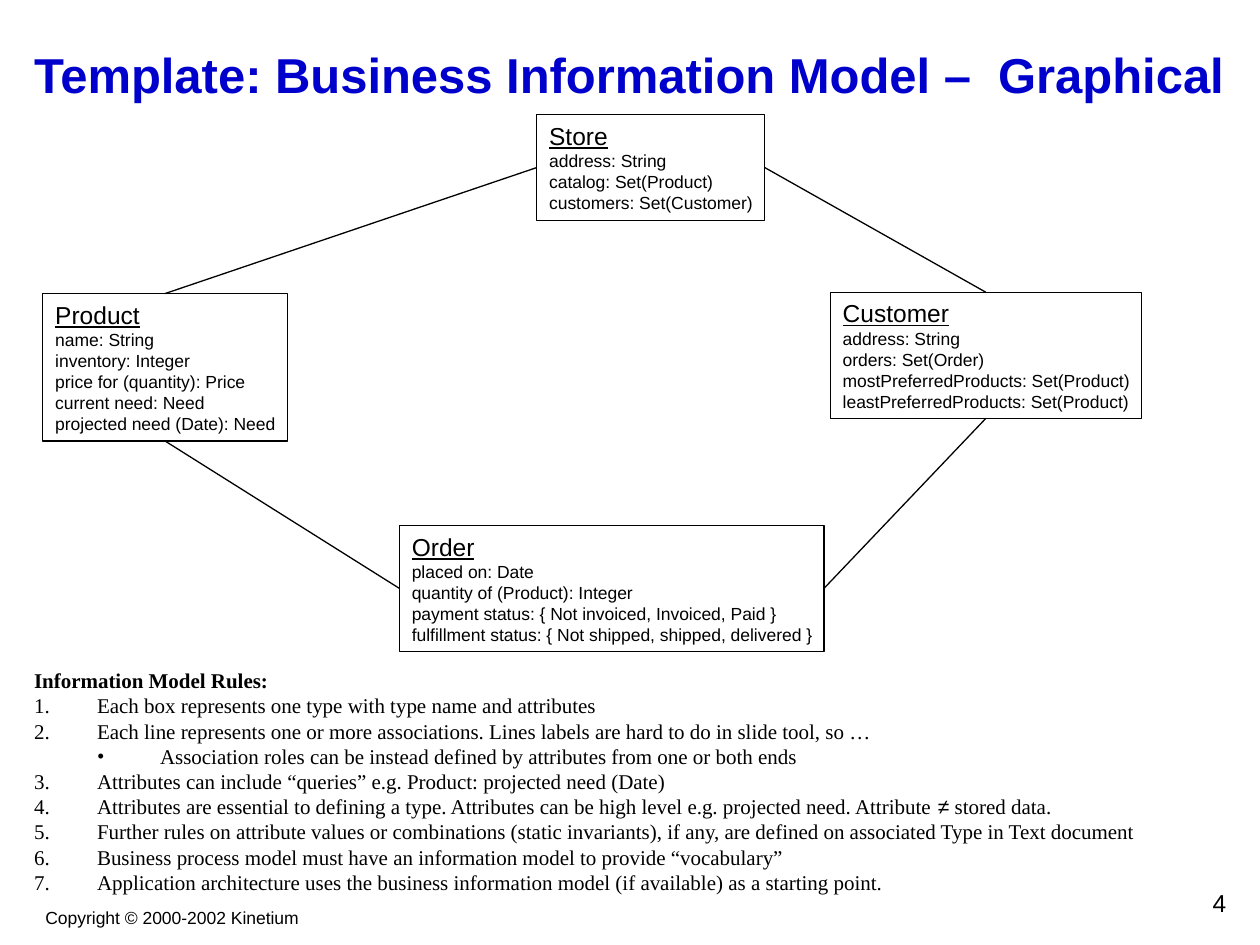
import pptx
import pptx.util
import pptx.dml.color
import pptx.enum.shapes
import pptx.enum.text
import pptx.oxml.ns
import lxml.etree

deck = pptx.Presentation()
deck.slide_width = pptx.util.Inches(10)
deck.slide_height = pptx.util.Inches(7.5)
slide = deck.slides.add_slide(deck.slide_layouts[1])

# Grid of 100 columns by 75 rows
COLUMN = deck.slide_width / 100
ROW = deck.slide_height / 75
ALIGN = pptx.enum.text.PP_ALIGN
BLACK = "000000"


def grid(left, top, width, height):
    return int(left * COLUMN), int(top * ROW), int(width * COLUMN), int(height * ROW)


def add_run(paragraph, text, size, font="Arial", color=BLACK, bold=False, underline=False):
    run = paragraph.add_run()
    run.text = text
    run.font.size = pptx.util.Pt(size)
    run.font.name = font
    run.font.bold = bold
    run.font.underline = underline
    run.font.color.rgb = pptx.dml.color.RGBColor.from_string(color)


# Title
title = slide.shapes.title
title.left, title.top, title.width, title.height = grid(1.7, 1.7, 98.3, 8.3)
title.text_frame.auto_size = pptx.enum.text.MSO_AUTO_SIZE.NONE
title.text_frame.vertical_anchor = pptx.enum.text.MSO_ANCHOR.MIDDLE
heading = title.text_frame.paragraphs[0]
heading.alignment = ALIGN.LEFT
add_run(heading, "Template: Business Information Model –  Graphical", 28, color="0000CC", bold=True)

# Types with their attributes
types = {
    "Product": ((3.4, 23.3, 19.4, 11.7),
                ["name: String", "inventory: Integer", "price for (quantity): Price",
                 "current need: Need", "projected need (Date): Need"]),
    "Store": ((42.6, 9.1, 18.1, 8.4),
              ["address: String", "catalog: Set(Product)", "customers: Set(Customer)"]),
    "Customer": ((65.9, 23.2, 24.7, 10),
                 ["address: String", "orders: Set(Order)",
                  "mostPreferredProducts: Set(Product)", "leastPreferredProducts: Set(Product)"]),
    "Order": ((31.7, 41.7, 33.7, 10),
              ["placed on: Date", "quantity of (Product): Integer",
               "payment status: { Not invoiced, Invoiced, Paid }",
               "fulfillment status: { Not shipped, shipped, delivered }"]),
}
type_boxes = {}
for type_name, (place, attributes) in types.items():
    type_box = slide.shapes.add_shape(pptx.enum.shapes.MSO_SHAPE.RECTANGLE, *grid(*place))
    type_box.shadow.inherit = False
    type_box.fill.background()
    type_box.line.color.rgb = pptx.dml.color.RGBColor.from_string(BLACK)
    type_box.line.width = pptx.util.Pt(0.75)
    frame = type_box.text_frame
    frame.word_wrap = False
    frame.vertical_anchor = pptx.enum.text.MSO_ANCHOR.TOP
    frame.paragraphs[0].alignment = ALIGN.LEFT
    add_run(frame.paragraphs[0], type_name, 14, underline=True)
    for attribute in attributes:
        line = frame.add_paragraph()
        line.alignment = ALIGN.LEFT
        add_run(line, attribute, 10)
    type_boxes[type_name] = type_box

# Associations between types
TOP, LEFT, BOTTOM, RIGHT = range(4)
associations = [
    ("Product", TOP, "Store", LEFT),
    ("Store", RIGHT, "Customer", TOP),
    ("Product", BOTTOM, "Order", LEFT),
    ("Order", RIGHT, "Customer", BOTTOM),
]
for start, start_side, end, end_side in associations:
    association = slide.shapes.add_connector(pptx.enum.shapes.MSO_CONNECTOR.STRAIGHT, 0, 0, 0, 0)
    association.begin_connect(type_boxes[start], start_side)
    association.end_connect(type_boxes[end], end_side)
    association.line.color.rgb = pptx.dml.color.RGBColor.from_string(BLACK)
    association.line.width = pptx.util.Pt(0.75)
    lxml.etree.SubElement(association._element.spPr, pptx.oxml.ns.qn("a:effectLst"))

# Information model rules: bullet kind and runs as (text, font)
SERIF = "Times New Roman"
NUMBER = ("a:buAutoNum", "type", "arabicPeriod")
DOT = ("a:buChar", "char", "•")
NO_BULLET = ("a:buNone", None, None)
rules = [
    (NO_BULLET, [("Information Model Rules:", SERIF)]),
    (NUMBER, [("Each box represents one type with type name and attributes", SERIF)]),
    (NUMBER, [("Each line represents one or more associations. "
               "Lines labels are hard to do in slide tool, so …", SERIF)]),
    (DOT, [("Association roles can be instead defined by attributes from one or both ends", SERIF)]),
    (NUMBER, [("Attributes can include “queries” e.g. Product: projected need (Date)", SERIF)]),
    (NUMBER, [("Attributes are essential to defining a type. Attributes can be high level "
               "e.g. projected need. Attribute ", SERIF), ("≠", "Arial"), (" stored data.", SERIF)]),
    (NUMBER, [("Further rules on attribute values or combinations (static invariants), if any, "
               "are defined on associated Type in Text document", SERIF)]),
    (NUMBER, [("Business process model must have an information model to provide “vocabulary”", SERIF)]),
    (NUMBER, [("Application architecture uses the business information model (if available) "
               "as a starting point.", SERIF)]),
]
rule_list = slide.placeholders[1]
rule_list.left, rule_list.top, rule_list.width, rule_list.height = grid(1.7, 52.5, 96.7, 19)
rule_list.text_frame.auto_size = pptx.enum.text.MSO_AUTO_SIZE.NONE
for index, (bullet, runs) in enumerate(rules):
    rule = rule_list.text_frame.paragraphs[0] if index == 0 else rule_list.text_frame.add_paragraph()
    rule.level = 1 if bullet is DOT else 0
    properties = rule._p.get_or_add_pPr()
    properties.set("marL", str(pptx.util.Inches(0.5 * (rule.level + 1))))
    properties.set("indent", str(pptx.util.Inches(-0.5)))
    tag, key, value = bullet
    if bullet is not NO_BULLET:
        bullet_font = lxml.etree.SubElement(properties, pptx.oxml.ns.qn("a:buFont"))
        bullet_font.set("typeface", SERIF)
    mark = lxml.etree.SubElement(properties, pptx.oxml.ns.qn(tag))
    if key:
        mark.set(key, value)
    rule.space_before = pptx.util.Pt(0)
    for text, font in runs:
        add_run(rule, text, 12, font, bold=bullet is NO_BULLET)

# Copyright line and page number
footers = [
    ("Copyright © 2000-2002 Kinetium", 10, ALIGN.CENTER, (2.6, 71.5, 22.1, 2.7)),
    ("4", 14, ALIGN.RIGHT, (77.5, 70, 20.8, 3.3)),
]
for text, size, alignment, place in footers:
    footer = slide.shapes.add_textbox(*grid(*place))
    footer.text_frame.word_wrap = alignment == ALIGN.RIGHT
    footer.text_frame.paragraphs[0].alignment = alignment
    add_run(footer.text_frame.paragraphs[0], text, size)

deck.save("out.pptx")
